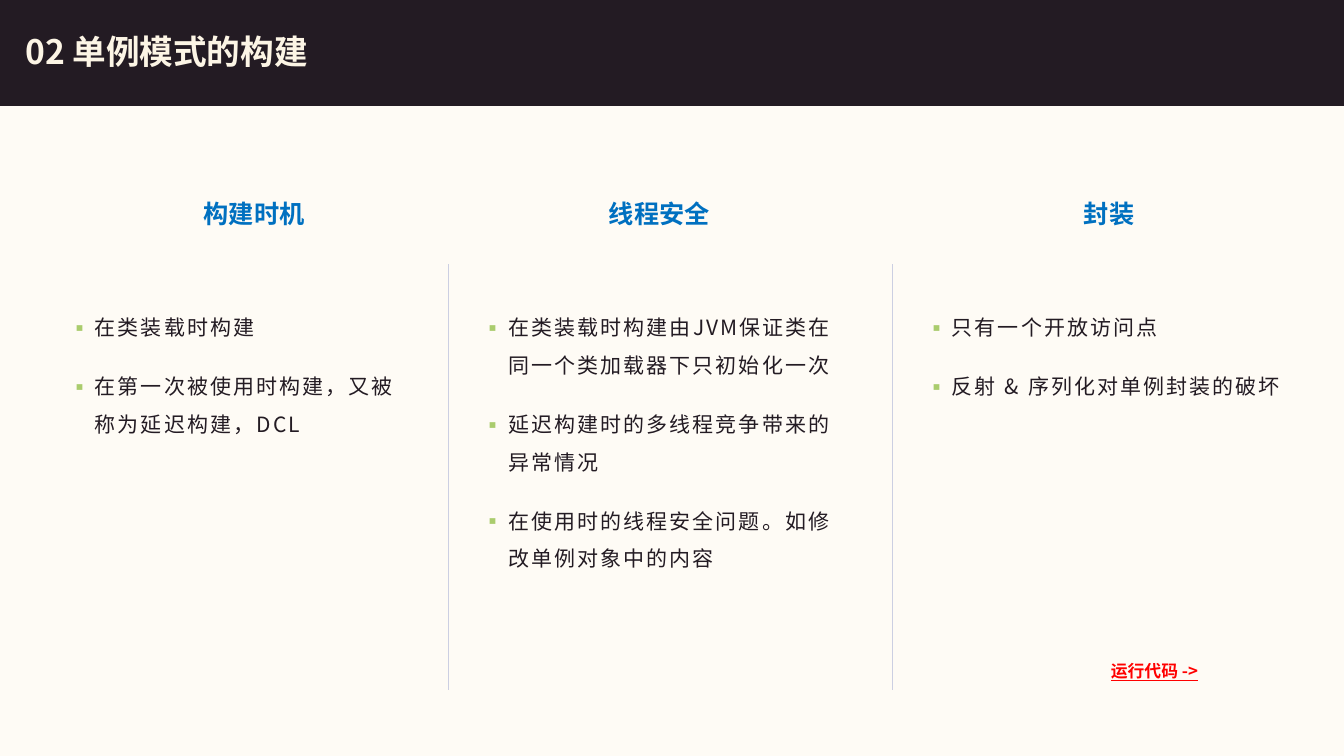
from collections import namedtuple

from lxml.etree import SubElement
from pptx import Presentation
from pptx.dml.color import RGBColor
from pptx.enum.shapes import MSO_CONNECTOR as CONN, MSO_SHAPE as SHAPE
from pptx.enum.text import MSO_ANCHOR as ANCHOR, MSO_AUTO_SIZE as AUTO, PP_ALIGN as ALIGN
from pptx.oxml.ns import qn
from pptx.util import Inches, Pt

DARK = RGBColor(0x23, 0x1B, 0x23)
CREAM = RGBColor(0xFC, 0xF5, 0xE5)
PAPER = RGBColor(0xFE, 0xFB, 0xF5)
BLUE = RGBColor(0x00, 0x70, 0xC0)
RED = RGBColor(0xFF, 0x00, 0x00)
GREEN = RGBColor(0xAA, 0xCC, 0x6D)
LILAC = RGBColor(0xCC, 0xCF, 0xE2)
HEAD_FONT = "Noto Sans CJK JP"
BODY_FONT = "Noto Sans CJK SC"

WIDTH, HEIGHT = 13.33, 7.5
BAND_HEIGHT = 1.05
HEADING_TOP, LIST_TOP = 1.92, 2.95
RULE_TOP, RULE_BOTTOM = 2.62, 6.85
LIST_INDENT = 0.24  # from a column's left edge

Column = namedtuple("Column", "left heading heading_at heading_width list_width list_height items")
COLUMNS = [
    Column(0.35, "构建时机", 1.57, 1.2, 3.61, 2.66,
           ["在类装载时构建", "在第一次被使用时构建，又被称为延迟构建，DCL"]),
    Column(4.45, "线程安全", 1.49, 1.2, 3.84, 3.8,
           ["在类装载时构建由JVM保证类在同一个类加载器下只初始化一次",
            "延迟构建时的多线程竞争带来的异常情况",
            "在使用时的线程安全问题。如修改单例对象中的内容"]),
    Column(8.85, "封装", 1.8, 0.7, 3.84, 4.1,
           ["只有一个开放访问点", "反射 & 序列化对单例封装的破坏"]),
]


def place(sp, left, top, width, height):
    sp.left, sp.top, sp.width, sp.height = map(Inches, (left, top, width, height))


def format_runs(p, size, color, font, bold=True):
    for r in p.runs:
        r.font.size, r.font.bold, r.font.name = Pt(size), bold, font
        r.font.color.rgb = color
        SubElement(r.font._element, qn("a:ea"), typeface=font)


def add_label(slide, box, text, size, color, align=ALIGN.LEFT, wrap=False):
    sp = slide.shapes.add_textbox(*map(Inches, box))
    tf = sp.text_frame
    tf.text = text
    tf.word_wrap, tf.auto_size = wrap, AUTO.SHAPE_TO_FIT_TEXT
    p = tf.paragraphs[0]
    p.alignment = align
    format_runs(p, size, color, HEAD_FONT)
    return p


def add_header(slide, text):
    band = slide.shapes.add_shape(SHAPE.RECTANGLE, 0, 0, Inches(WIDTH), Inches(BAND_HEIGHT))
    band.shadow.inherit = False
    band.fill.solid()
    band.fill.fore_color.rgb = band.line.color.rgb = DARK
    band.line.width = Pt(1)
    slide.shapes._spTree.insert(2, band._element)  # behind the title

    title = slide.shapes.title
    place(title, 0.15, 0.21, 6.84, 0.59)
    tf = title.text_frame
    tf.text = text
    tf.vertical_anchor, tf.auto_size = ANCHOR.MIDDLE, AUTO.NONE
    tf.paragraphs[0].alignment = ALIGN.LEFT
    format_runs(tf.paragraphs[0], 24, CREAM, HEAD_FONT)


def set_bullet(p):
    pPr = p._p.get_or_add_pPr()
    pPr.set("marL", str(Inches(0.25)))
    pPr.set("indent", str(-Inches(0.25)))
    SubElement(SubElement(pPr, qn("a:buClr")), qn("a:srgbClr"), val=str(GREEN))
    SubElement(pPr, qn("a:buFont"), typeface=BODY_FONT)
    SubElement(pPr, qn("a:buChar"), char="▪")


def fill_list(body, items):
    tf = body.text_frame
    tf.text = "\n".join(items)
    tf.word_wrap, tf.auto_size, tf.vertical_anchor = True, AUTO.NONE, ANCHOR.TOP
    for p in tf.paragraphs:
        p.alignment = ALIGN.LEFT
        p.line_spacing, p.space_before = 1.5, Pt(15)
        set_bullet(p)
        format_runs(p, 15, DARK, BODY_FONT, bold=False)
        for r in p.runs:
            r.font._element.set("spc", "150")


def add_rule(slide, x):
    rule = slide.shapes.add_connector(
        CONN.STRAIGHT, *map(Inches, (x, RULE_TOP, x, RULE_BOTTOM)))
    rule.line.color.rgb, rule.line.width = LILAC, Pt(0.5)
    SubElement(rule._element.spPr, qn("a:effectLst"))


def add_column(slide, body, col):
    add_label(slide, (col.left + col.heading_at, HEADING_TOP, col.heading_width, 0.4),
              col.heading, 18, BLUE, ALIGN.CENTER)
    place(body, col.left + LIST_INDENT, LIST_TOP, col.list_width, col.list_height)
    fill_list(body, col.items)


def main():
    prs = Presentation()
    prs.slide_width, prs.slide_height = Inches(WIDTH), Inches(HEIGHT)
    slide = prs.slides.add_slide(prs.slide_layouts.get_by_name("Comparison"))
    slide.background.fill.solid()
    slide.background.fill.fore_color.rgb = PAPER

    add_header(slide, "02 单例模式的构建")
    *bodies, spare = list(slide.placeholders)[1:]
    spare._element.getparent().remove(spare._element)
    for body, col in zip(bodies, COLUMNS):
        add_column(slide, body, col)
    for col in COLUMNS[1:]:
        add_rule(slide, col.left)

    run_code = add_label(slide, (10.92, 6.51, 1.16, 0.3), "运行代码 ->", 12, RED, wrap=True)
    run_code.runs[0].font.underline = True
    prs.save("out.pptx")


if __name__ == "__main__":
    main()
